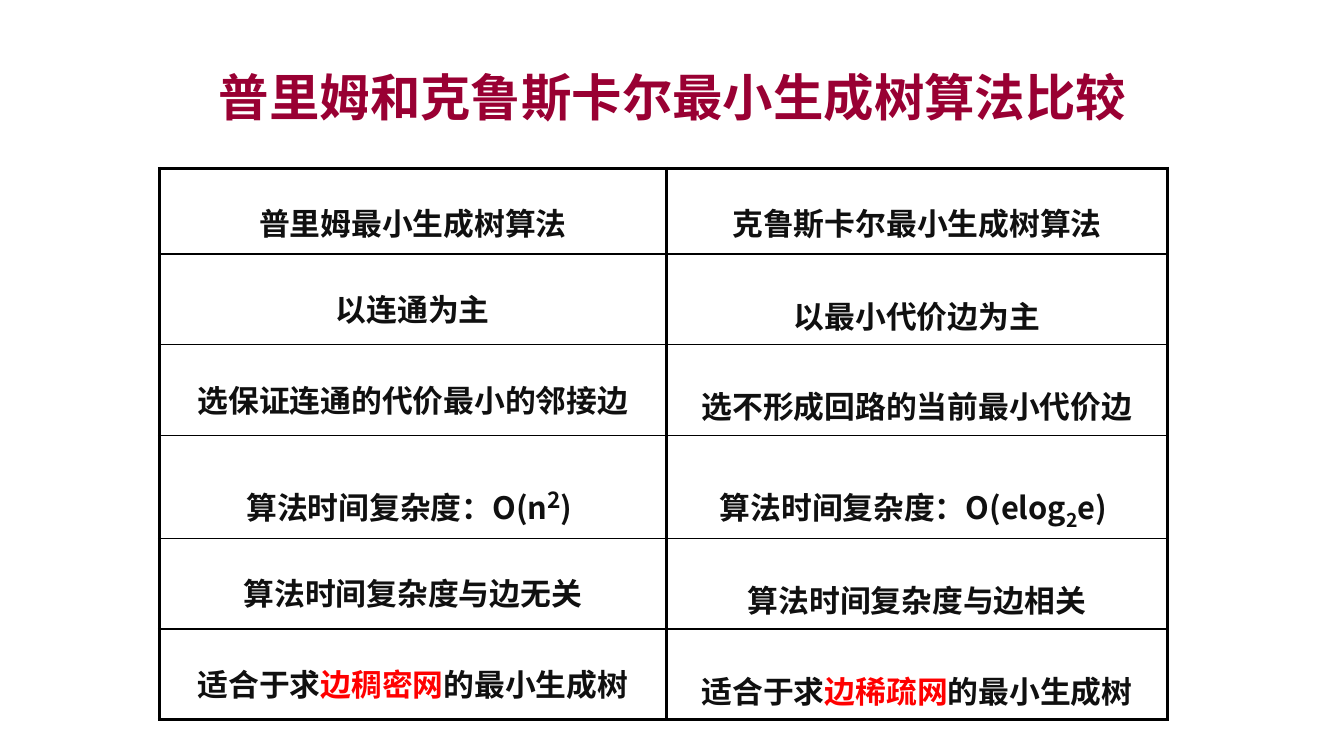
from lxml import etree
from pptx import Presentation
from pptx import util as u
from pptx.dml.color import RGBColor
from pptx.enum import text
from pptx.oxml.ns import qn

TITLE = "普里姆和克鲁斯卡尔最小生成树算法比较"
ROWS = [
    ("普里姆最小生成树算法", "克鲁斯卡尔最小生成树算法"),
    ("以连通为主", "以最小代价边为主"),
    ("选保证连通的代价最小的邻接边", "选不形成回路的当前最小代价边"),
    (("算法时间复杂度：O(n", ("2", "sup"), ") "),
     ("算法时间复杂度：Ο(elog", ("2", "sub"), "e) ")),
    ("算法时间复杂度与边无关", "算法时间复杂度与边相关"),
    (("适合于求", ("边稠密网", "key"), "的最小生成树"),
     ("适合于求", ("边稀疏网", "key"), "的最小生成树")),
]
COLORS = {"title": "990033", "ink": "101010", "key": "FF0000", "rule": "000000"}
FONT = "Noto Sans CJK SC"
STYLES = {
    "plain": (22, "ink", 0),
    "sup": (28, "ink", 30000),
    "sub": (24, "ink", -25000),
    "key": (22, "key", 0),
}
COLS = (5.03, 4.97)
HEADER_H, ROW_H = 0.85, 0.9
THICK, THIN = 2.25, 1


def format_run(r, size, color, baseline=0):
    r.font.name = FONT
    r.font.size = u.Pt(size)
    r.font.bold = True
    r.font.color.rgb = RGBColor.from_string(COLORS[color])
    rPr = r.font._element
    etree.SubElement(rPr, qn("a:ea")).set("typeface", FONT)
    if baseline:
        rPr.set("baseline", str(baseline))


def add_border(tcPr, side, width):
    ln = etree.SubElement(tcPr, qn("a:ln" + side), w=str(u.Pt(width)))
    fill = etree.SubElement(ln, qn("a:solidFill"))
    etree.SubElement(fill, qn("a:srgbClr"), val=COLORS["rule"])


def fill_cell(cell, content, spacing, top, bottom):
    cell.margin_left = cell.margin_right = u.Inches(0.11)
    cell.margin_top = cell.margin_bottom = u.Inches(0.05)
    p = cell.text_frame.paragraphs[0]
    p.alignment = text.PP_ALIGN.CENTER
    p.line_spacing = spacing
    p.space_before = u.Pt(0)
    before = p._p.pPr.find(qn("a:spcBef"))
    before.remove(before[0])
    etree.SubElement(before, qn("a:spcPct"), val="50000")
    for part in (content,) if isinstance(content, str) else content:
        words, style = (part, "plain") if isinstance(part, str) else part
        r = p.add_run()
        r.text = words
        format_run(r, *STYLES[style])
    tcPr = cell._tc.get_or_add_tcPr()
    for side, width in (("L", THICK), ("R", THICK), ("T", top), ("B", bottom)):
        add_border(tcPr, side, width)
    cell.fill.background()


prs = Presentation()
prs.slide_width, prs.slide_height = u.Inches(13.33), u.Inches(7.5)
s = prs.slides.add_slide(prs.slide_layouts[5])

title = s.shapes.title
title.left, title.top = u.Inches(0.17), u.Inches(0.63)
title.width, title.height = u.Inches(13), u.Inches(0.65)
tf = title.text_frame
tf.text = TITLE
tf.vertical_anchor = text.MSO_ANCHOR.MIDDLE
tf.paragraphs[0].alignment = text.PP_ALIGN.CENTER
format_run(tf.paragraphs[0].runs[0], 36, "title")

last = len(ROWS) - 1
table = s.shapes.add_table(
    len(ROWS), len(COLS), u.Inches(1.58), u.Inches(1.67),
    u.Inches(sum(COLS)), u.Inches(HEADER_H + last * ROW_H)).table
table.first_row = table.horz_banding = False
for col, width in zip(table.columns, COLS):
    col.width = u.Inches(width)
for i, row in enumerate(ROWS):
    table.rows[i].height = u.Inches(ROW_H if i else HEADER_H)
    for j, content in enumerate(row):
        fill_cell(table.cell(i, j), content,
                  spacing=1.75 if i and j else 1.6,
                  top=THICK if i <= 1 else THIN,
                  bottom=THICK if i in (0, last) else THIN)

prs.save("out.pptx")
